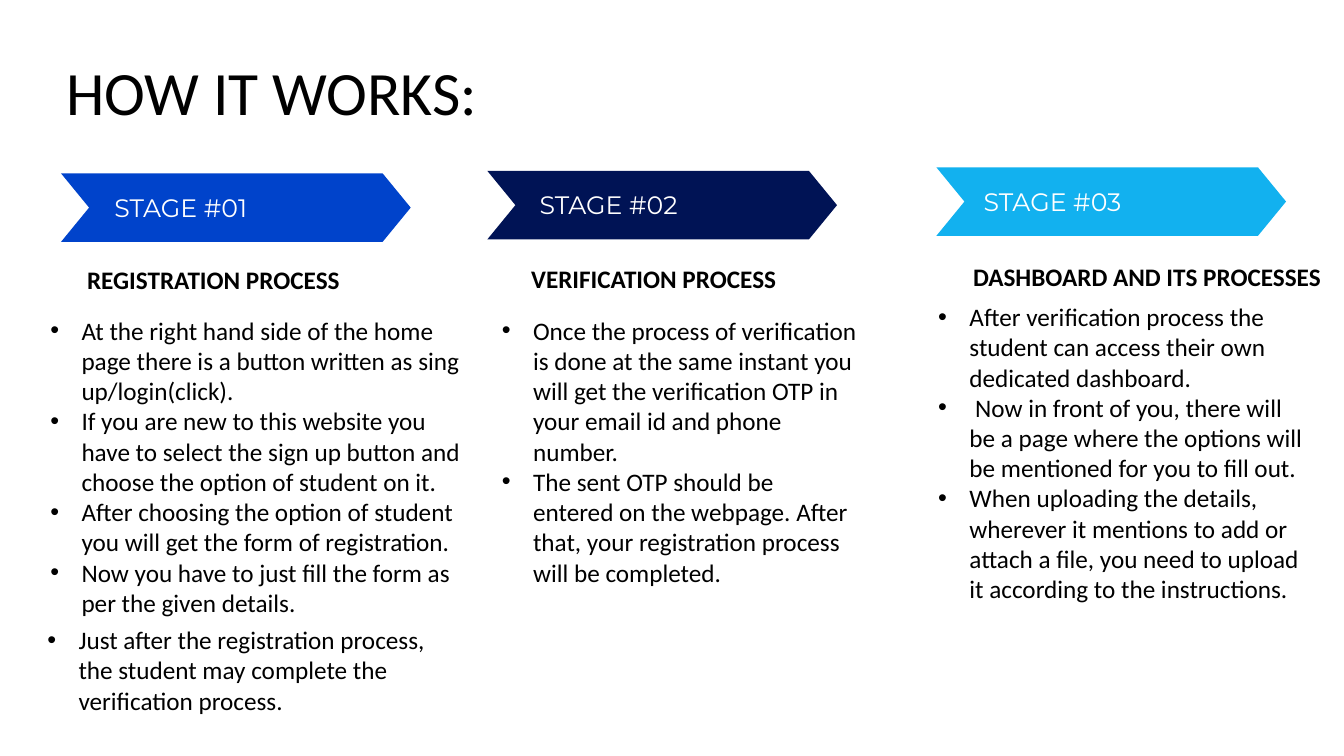
from dataclasses import dataclass

from lxml import etree
from pptx import Presentation
from pptx.dml.color import RGBColor
from pptx.enum.shapes import MSO_SHAPE
from pptx.enum.text import MSO_ANCHOR, MSO_AUTO_SIZE, PP_ALIGN
from pptx.oxml.ns import qn
from pptx.util import Inches, Pt

CHEVRON = MSO_SHAPE.CHEVRON
TOP = MSO_ANCHOR.TOP
LEFT = PP_ALIGN.LEFT
NO_FIT = MSO_AUTO_SIZE.NONE

WIDE, HIGH = 26.67, 15
COL, ROW = WIDE / 100, HIGH / 100  # a grid of 100 columns by 100 rows
BLACK, WHITE = "000000", "FFFFFF"
INDENT = 0.62


@dataclass
class Box:
    """A place on the grid, in columns and rows."""
    x: float
    y: float
    w: float
    h: float

    def inches(self) -> tuple:
        return (Inches(self.x * COL), Inches(self.y * ROW),
                Inches(self.w * COL), Inches(self.h * ROW))


@dataclass
class Style:
    size: int = 36
    face: str = "Calibri"
    color: str = BLACK
    bold: bool = False
    pad: float = 0.1


@dataclass
class Points:
    box: Box
    items: list


@dataclass
class Stage:
    color: str
    arrow: tuple
    label: str
    label_x: float
    head: str
    head_at: tuple
    lists: list


TITLE = Style(size=88)
LABEL = Style(face="Montserrat", color=WHITE)
HEAD = Style(bold=True)
BODY = Style(pad=0.05)

STAGES = [
    Stage("0043CB", (4.54, 22.93), "STAGE #01", 8.14,
          "REGISTRATION PROCESS", (6.11, 34.27), [
              Points(Box(3.37, 41.33, 31.5, 41.07), [
                  "At the right hand side of the home page there is a button "
                  "written as sing up/login(click).",
                  "If you are new to this website you have to select the sign "
                  "up button and choose the option of student on it.",
                  "After choosing the option of student you will get the form "
                  "of registration.",
                  "Now you have to just fill the form as per the given details.",
              ]),
              Points(Box(3.15, 82.27, 30.33, 12.8), [
                  "Just after the registration process, the student may "
                  "complete the verification process.",
              ])]),
    Stage("001355", (36.26, 22.6), "STAGE #02", 39.78,
          "VERIFICATION PROCESS", (39.15, 34.13), [
              Points(Box(36.97, 41.33, 27.3, 37.07), [
                  "Once the process of verification is done at the same instant "
                  "you will get the verification OTP in your email id and phone "
                  "number.",
                  "The sent OTP should be entered on the webpage. After that, "
                  "your registration process will be completed.",
              ])]),
    Stage("12B1EF", (69.67, 22.13), "STAGE #03", 72.82,
          "DASHBOARD AND ITS PROCESSES", (72.03, 33.87), [
              Points(Box(69.44, 39.53, 28.31, 45.13), [
                  "After verification process the student can access their own "
                  "dedicated dashboard.",
                  " Now in front of you, there will be a page where the options "
                  "will be mentioned for you to fill out.",
                  "When uploading the details, wherever it mentions to add or "
                  "attach a file, you need to upload it according to the "
                  "instructions.",
              ])]),
]


def rgb(color: str) -> RGBColor:
    return RGBColor.from_string(color)


def add_bullet(para) -> None:
    props = para._p.get_or_add_pPr()
    props.set("marL", str(Inches(INDENT)))
    props.set("indent", str(-Inches(INDENT)))
    tint = etree.SubElement(props, qn("a:buClr"))
    etree.SubElement(tint, qn("a:srgbClr")).set("val", BLACK)
    etree.SubElement(props, qn("a:buFont")).set("typeface", "Arial")
    etree.SubElement(props, qn("a:buChar")).set("char", "•")


def fill_text(shape, lines: list, style: Style, bullets: bool = False) -> None:
    frame = shape.text_frame
    frame.text = "\n".join(lines)
    frame.word_wrap = True
    frame.auto_size = NO_FIT
    frame.vertical_anchor = TOP
    frame.margin_left = frame.margin_right = Inches(0.1)
    frame.margin_top = frame.margin_bottom = Inches(style.pad)
    for para in frame.paragraphs:
        para.alignment = LEFT
        if bullets:
            add_bullet(para)
        for run in para.runs:
            font = run.font
            font.size = Pt(style.size)
            font.name = style.face
            font.bold = style.bold
            font.color.rgb = rgb(style.color)


def add_text(slide, box: Box, lines: list, style: Style,
             bullets: bool = False) -> None:
    fill_text(slide.shapes.add_textbox(*box.inches()), lines, style, bullets)


def add_arrow(slide, box: Box, color: str) -> None:
    arrow = slide.shapes.add_shape(CHEVRON, *box.inches())
    arrow.adjustments[0] = 0.41
    arrow.shadow.inherit = False
    arrow.fill.solid()
    arrow.fill.fore_color.rgb = rgb(color)
    arrow.line.fill.background()


def add_stage(slide, stage: Stage) -> None:
    x, y = stage.arrow
    add_arrow(slide, Box(x, y, 26.02, 9.07), stage.color)
    add_text(slide, Box(stage.label_x, y + 1.8, 14.3, 5.4), [stage.label], LABEL)
    add_text(slide, Box(*stage.head_at, 27.5, 5.4), [stage.head], HEAD)
    for points in stage.lists:
        add_text(slide, points.box, points.items, BODY, bullets=True)


def main() -> None:
    deck = Presentation()
    deck.slide_width, deck.slide_height = Inches(WIDE), Inches(HIGH)
    slide = deck.slides.add_slide(deck.slide_layouts.get_by_name("Title Only"))
    title = slide.shapes.title
    title.left, title.top, title.width, title.height = Box(
        4.54, 6.53, 38.7, 11.2).inches()
    fill_text(title, ["HOW IT WORKS:"], TITLE)
    for stage in STAGES:
        add_stage(slide, stage)
    deck.save("out.pptx")


if __name__ == "__main__":
    main()
